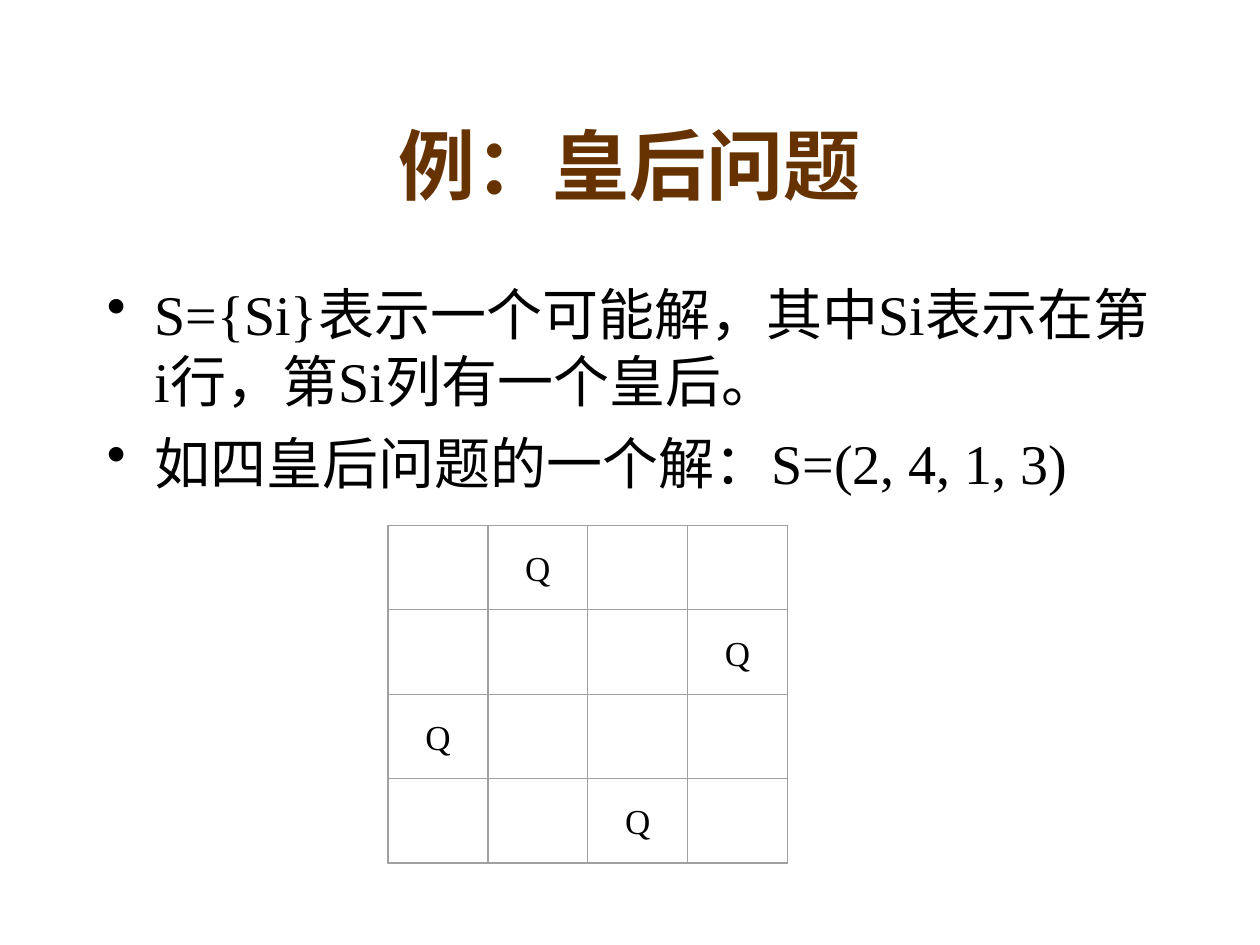
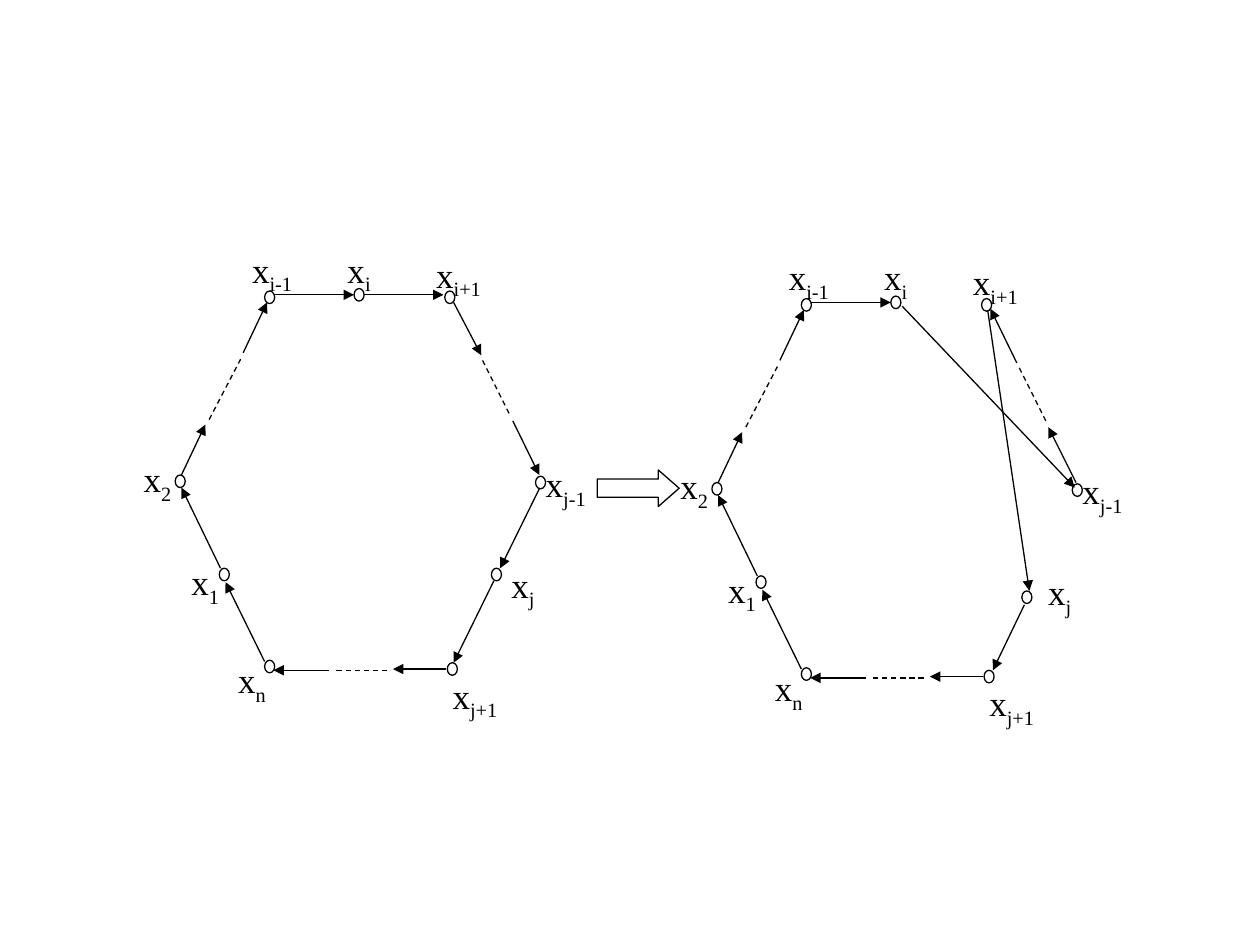
from dataclasses import dataclass

from lxml.etree import SubElement
from pptx import Presentation
from pptx.dml.color import RGBColor
from pptx.enum.dml import MSO_LINE
from pptx.enum.shapes import MSO_CONNECTOR, MSO_SHAPE
from pptx.enum.text import MSO_ANCHOR, PP_ALIGN
from pptx.oxml.ns import qn
from pptx.util import Inches, Pt


@dataclass(frozen=True)
class Theme:
    font: str = "Times New Roman"
    title_color: RGBColor = RGBColor(0x66, 0x33, 0x00)
    ink: RGBColor = RGBColor(0x00, 0x00, 0x00)
    paper: RGBColor = RGBColor(0xFF, 0xFF, 0xFF)
    grid: RGBColor = RGBColor(0xA0, 0xA0, 0xA0)
    title_size: int = 44
    body_size: int = 32
    label_size: int = 20
    line_width: float = 0.75
    hairline: float = 0


THEME = Theme()

BULLETS = (
    "S={Si}表示一个可能解，其中Si表示在第i行，第Si列有一个皇后。",
    "如四皇后问题的一个解：S=(2, 4, 1, 3)",
)
QUEEN_COLUMNS = (2, 4, 1, 3)

# All ring coordinates are inches from the top left of the ring's box.
NODE_SIZE = (0.08, 0.10)
LABEL_SIZE = (0.66, 0.48)
NODES = {
    "j-1": (3.33, 1.86),
    "1": (0.82, 2.59),
    "j+1": (2.63, 3.34),
    "n": (1.18, 3.32),
    "i+1": (2.61, 0.39),
    "i-1": (1.18, 0.39),
    "2": (0.47, 1.85),
    "j": (2.98, 2.59),
    "i": (1.89, 0.37),
}
LABELS = {
    "1": (0.38, 2.48),
    "2": (0, 1.66),
    "n": (0.75, 3.26),
    "j+1": (2.52, 3.38),
    "j": (2.90, 2.50),
    "j-1": (3.24, 1.70),
    "i-1": (0.91, 0),
    "i": (1.60, 0),
    "i+1": (2.39, 0.04),
}
SHARED_ARROWS = (
    ((1.18, 3.33), (0.87, 2.70)),
    ((0.83, 2.59), (0.52, 1.95)),
    ((0.52, 1.85), (0.71, 1.45)),
    ((1.01, 0.88), (1.20, 0.48)),
    ((1.26, 0.42), (1.89, 0.42)),
    ((2.62, 3.39), (2.20, 3.39)),
    ((1.69, 3.40), (1.25, 3.40)),
)
DASHES = (
    ((0.74, 1.41), (0.99, 0.93)),
    ((2.15, 3.40), (1.74, 3.40)),
    ((2.91, 0.94), (3.13, 1.38)),
)
ARROWS_BEFORE = (
    ((3.36, 1.96), (3.05, 2.59)),
    ((3.00, 2.69), (2.68, 3.34)),
    ((1.97, 0.42), (2.60, 0.42)),
    ((2.68, 0.48), (2.90, 0.90)),
    ((3.15, 1.42), (3.36, 1.85)),
)
ARROWS_AFTER = (
    ((3.36, 1.85), (3.14, 1.41)),
    ((2.89, 0.90), (2.68, 0.47)),
    ((1.98, 0.45), (3.35, 1.89)),
    ((2.66, 0.49), (2.99, 2.71)),
    ((2.95, 2.82), (2.70, 3.34)),
)
NODES_AFTER = {**NODES, "j": (2.93, 2.71)}


def format_run(run, size, color=THEME.ink, bold=False):
    run.font.name = THEME.font
    run.font.size = Pt(size)
    run.font.color.rgb = color
    run.font.bold = bold


def add_text_frame(slide, left, top, width, height, anchor=MSO_ANCHOR.TOP):
    box = slide.shapes.add_textbox(
        Inches(left), Inches(top), Inches(width), Inches(height))
    box.text_frame.word_wrap = True
    box.text_frame.vertical_anchor = anchor
    return box.text_frame


def add_outline(slide, kind, box, color, width, fill=None):
    shape = slide.shapes.add_shape(kind, *map(Inches, box))
    shape.shadow.inherit = False
    if fill is None:
        shape.fill.background()
    else:
        shape.fill.solid()
        shape.fill.fore_color.rgb = fill
    shape.line.color.rgb = color
    shape.line.width = Pt(width)
    return shape


def add_line(slide, origin, start, end, dashed=False):
    """Draw a dashed line, or a solid one with an arrowhead at its end."""
    points = [Inches(base + offset) for point in (start, end)
              for base, offset in zip(origin, point)]
    line = slide.shapes.add_connector(MSO_CONNECTOR.STRAIGHT, *points)
    line.line.color.rgb = THEME.ink
    line.line.width = Pt(THEME.line_width)
    properties = line._element.spPr
    if dashed:
        line.line.dash_style = MSO_LINE.DASH
    else:
        SubElement(line.line._get_or_add_ln(), qn("a:tailEnd"), type="triangle")
    SubElement(properties, qn("a:effectLst"))


def add_title(slide, text, left, top, width, height):
    frame = add_text_frame(slide, left, top, width, height, MSO_ANCHOR.MIDDLE)
    frame.text = text
    paragraph = frame.paragraphs[0]
    paragraph.alignment = PP_ALIGN.CENTER
    format_run(paragraph.runs[0], THEME.title_size, THEME.title_color, bold=True)


def add_bullets(slide, texts, left, top, width, height):
    frame = add_text_frame(slide, left, top, width, height)
    frame.text = "\n".join(texts)
    for index, paragraph in enumerate(frame.paragraphs):
        paragraph.space_before = Pt(8 if index else 0)
        properties = paragraph._p.get_or_add_pPr()
        properties.set("marL", str(Inches(0.38)))
        properties.set("indent", str(-Inches(0.38)))
        SubElement(properties, qn("a:buChar"), char="•")
        format_run(paragraph.runs[0], THEME.body_size)


def add_board(slide, queen_columns, left, top, width, height):
    """Draw a square grid with one queen a row, in the given columns from 1."""
    count = len(queen_columns)
    cell_width, cell_height = width / count, height / count
    for row, queen_column in enumerate(queen_columns):
        for column in range(count):
            box = (left + column * cell_width, top + row * cell_height,
                   cell_width, cell_height)
            cell = add_outline(slide, MSO_SHAPE.RECTANGLE, box,
                               THEME.grid, THEME.hairline)
            if column + 1 == queen_column:
                cell.text_frame.text = "Q"
                cell.text_frame.vertical_anchor = MSO_ANCHOR.MIDDLE
                paragraph = cell.text_frame.paragraphs[0]
                paragraph.alignment = PP_ALIGN.CENTER
                format_run(paragraph.runs[0], THEME.label_size)
    add_outline(slide, MSO_SHAPE.RECTANGLE, (left, top, width, height),
                THEME.grid, THEME.line_width)


def add_subscript_label(slide, subscript, left, top):
    frame = add_text_frame(slide, left, top, *LABEL_SIZE)
    paragraph = frame.paragraphs[0]
    paragraph.alignment = PP_ALIGN.CENTER
    for text in ("x", subscript):
        run = paragraph.add_run()
        run.text = text
        format_run(run, THEME.label_size)
    run.font._element.set("baseline", "-25000")


def add_ring(slide, nodes, arrows, left, top):
    """Draw a tour of nodes; the arrows are those that differ between tours."""
    for x, y in nodes.values():
        add_outline(slide, MSO_SHAPE.OVAL, (left + x, top + y, *NODE_SIZE),
                    THEME.ink, THEME.line_width, THEME.paper)
    for start, end in SHARED_ARROWS + arrows:
        add_line(slide, (left, top), start, end)
    for start, end in DASHES:
        add_line(slide, (left, top), start, end, dashed=True)
    for subscript, (x, y) in LABELS.items():
        add_subscript_label(slide, subscript, left + x, top + y)


def add_block_arrow(slide, left, top, width, height):
    arrow = add_outline(slide, MSO_SHAPE.RIGHT_ARROW, (left, top, width, height),
                        THEME.ink, THEME.line_width, THEME.paper)
    arrow.adjustments[0] = 0.5
    arrow.adjustments[1] = 0.57


def build_queens_slide(slide):
    add_title(slide, "例：皇后问题", 0.75, 0.67, 8.5, 1.25)
    add_bullets(slide, BULLETS, 0.75, 2.17, 8.5, 4.5)
    add_board(slide, QUEEN_COLUMNS, 3.08, 4.17, 3.17, 2.68)


def build_tour_slide(slide):
    add_ring(slide, NODES, ARROWS_BEFORE, 0.92, 1.92)
    add_ring(slide, NODES_AFTER, ARROWS_AFTER, 5.18, 1.98)
    add_block_arrow(slide, 4.74, 3.73, 0.65, 0.29)


def main():
    presentation = Presentation()
    presentation.slide_width = Inches(10)
    presentation.slide_height = Inches(7.5)
    blank = presentation.slide_layouts[6]
    for build in (build_queens_slide, build_tour_slide):
        build(presentation.slides.add_slide(blank))
    presentation.save("out.pptx")


if __name__ == "__main__":
    main()
